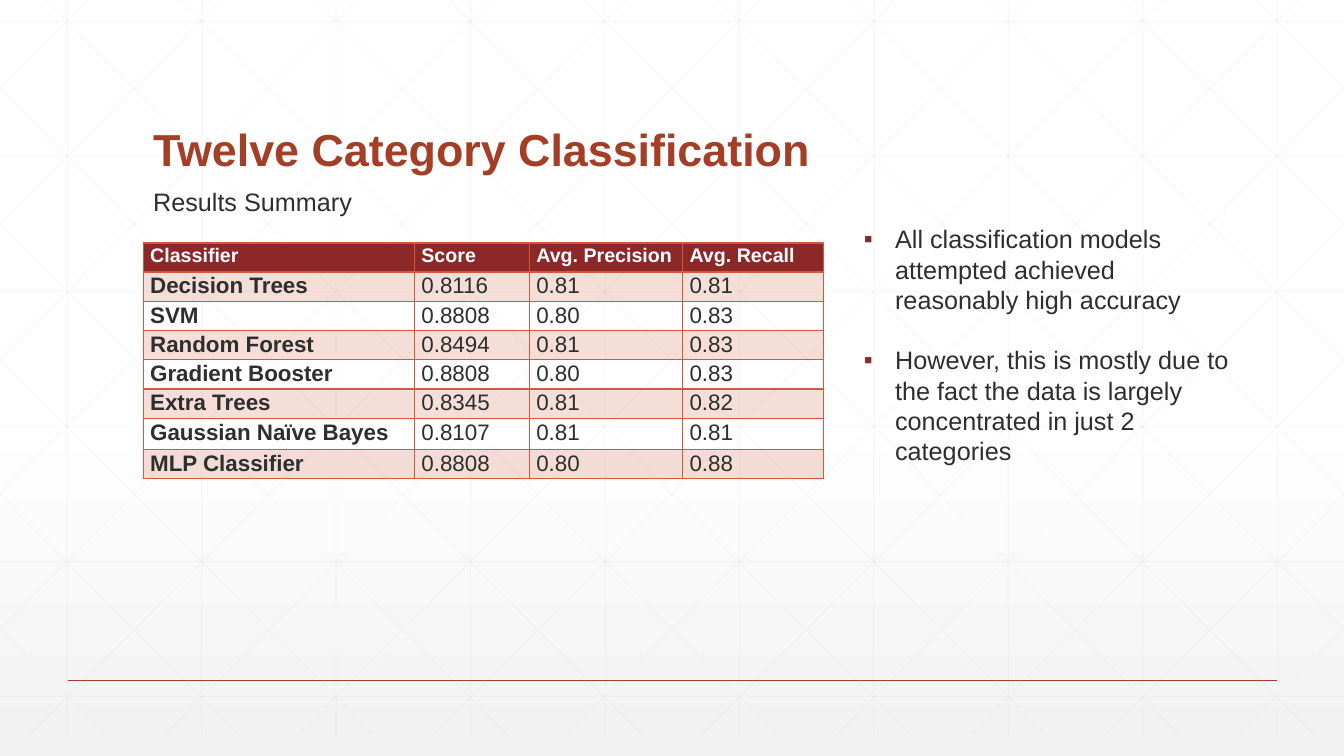
from copy import deepcopy
from lxml.etree import SubElement
from pptx import Presentation
from pptx.dml.color import RGBColor
from pptx.enum.shapes import MSO_CONNECTOR
from pptx.enum.text import MSO_ANCHOR, PP_ALIGN
from pptx.oxml.ns import qn
from pptx.util import Inches, Pt

# Content
TITLE = "Twelve Category Classification"
SUBTITLE = "Results Summary"
RESULTS = [
    ("Classifier", "Score", "Avg. Precision", "Avg. Recall"),
    ("Decision Trees", "0.8116", "0.81", "0.81"),
    ("SVM", "0.8808", "0.80", "0.83"),
    ("Random Forest", "0.8494", "0.81", "0.83"),
    ("Gradient Booster", "0.8808", "0.80", "0.83"),
    ("Extra Trees", "0.8345", "0.81", "0.82"),
    ("Gaussian Naïve Bayes", "0.8107", "0.81", "0.81"),
    ("MLP Classifier", "0.8808", "0.80", "0.88"),
]
FINDINGS = [
    "All classification models attempted achieved reasonably high accuracy",
    "However, this is mostly due to the fact the data is largely concentrated in just 2 categories",
]

# Style
FONT = "Arial"
WHITE = RGBColor(0xFF, 0xFF, 0xFF)
PALE = RGBColor(0xF2, 0xF2, 0xF2)
GRID = RGBColor(0xD9, 0xD9, 0xD9)
RUST = RGBColor(0xA4, 0x3F, 0x27)
ORANGE = RGBColor(0xD1, 0x5A, 0x3E)
MAROON = RGBColor(0x8C, 0x28, 0x28)
INK = RGBColor(0x2D, 0x2E, 0x2D)

# Layout, in inches
WIDTH, HEIGHT = 13.33, 7.5
GRID_TOP, GRID_BOTTOM = -0.21, 7.29
COLUMN_STEP, ROW_STEP = 4 / 3, 1.34
DIAGONAL_RUN = 7.45
COLUMN_WIDTHS = [2.69, 1.14, 1.52, 1.4]
ROW_HEIGHTS = [0.29] * 6 + [0.31, 0.29]

deck = Presentation()
deck.slide_width, deck.slide_height = Inches(WIDTH), Inches(HEIGHT)
page = deck.slides.add_slide(deck.slide_layouts[6])


def set_alpha(element, percent):
    for color in element.iter(qn("a:srgbClr")):
        SubElement(color, qn("a:alpha"), val=str(percent * 1000))


def add_line(x1, y1, x2, y2, color, width, alpha=None):
    line = page.shapes.add_connector(
        MSO_CONNECTOR.STRAIGHT, Inches(x1), Inches(y1), Inches(x2), Inches(y2))
    line.line.color.rgb, line.line.width = color, Pt(width)
    properties = line.element.spPr
    if alpha:
        set_alpha(properties, alpha)
    SubElement(properties, qn("a:effectLst"))


def style(para, size, color, bold=False):
    for span in para.runs:
        span.font.name, span.font.size = FONT, Pt(size)
        span.font.bold, span.font.color.rgb = bold, color


def add_text(left, top, width, height, lines, size, color, bold=False, wrap=True):
    box = page.shapes.add_textbox(Inches(left), Inches(top), Inches(width), Inches(height))
    frame = box.text_frame
    frame.text, frame.word_wrap = "\n".join(lines), wrap
    for para in frame.paragraphs:
        style(para, size, color, bold)
    return frame


def add_border(cell, side, width):
    edge = SubElement(cell._tc.get_or_add_tcPr(), qn("a:" + side), w=str(Pt(width)))
    fill = SubElement(edge, qn("a:solidFill"))
    SubElement(fill, qn("a:srgbClr"), val=str(ORANGE))


# Background: white, fading to pale grey at the foot
backdrop = page.background.fill
backdrop.gradient()
stop_list = page.element.find(".//" + qn("a:gsLst"))
stop_list.insert(1, deepcopy(stop_list[0]))
for stop, (position, color) in zip(backdrop.gradient_stops, [(0, WHITE), (0.53, WHITE), (1, PALE)]):
    stop.position, stop.color.rgb = position, color
backdrop.gradient_angle = 270

# Background grid: uprights, levels, then mirrored diagonals cut at the slide edges
for i in range(10):
    x = (i + 0.5) * COLUMN_STEP
    add_line(x, GRID_TOP, x, GRID_BOTTOM, GRID, 0.5, 25)
for i in range(6):
    y = 0.21 + i * ROW_STEP
    add_line(0, y, WIDTH, y, GRID, 0.5, 25)
slope = (GRID_BOTTOM - GRID_TOP) / DIAGONAL_RUN
for i in range(-5, 10):
    start = 0.25 + i * COLUMN_STEP
    x1, x2 = max(start, 0), min(start + DIAGONAL_RUN, WIDTH)
    y1, y2 = (GRID_TOP + (x - start) * slope for x in (x1, x2))
    add_line(x1, y1, x2, y2, GRID, 0.5, 25)
    add_line(WIDTH - x1, y1, WIDTH - x2, y2, GRID, 0.5, 25)

# Footer rule
add_line(0.67, 6.75, 12.67, 6.75, RUST, 1)

# Title and subtitle
title = add_text(1.42, 0.55, 10.5, 1.25, [TITLE], 32, RUST, bold=True)
title.vertical_anchor = MSO_ANCHOR.BOTTOM
title.paragraphs[0].line_spacing = 0.9
add_text(1.42, 1.8, 2.19, 0.4, [SUBTITLE], 18, INK, wrap=False)

# Results table
table = page.shapes.add_table(
    len(RESULTS), len(COLUMN_WIDTHS), Inches(1.42), Inches(2.41),
    Inches(sum(COLUMN_WIDTHS)), Inches(sum(ROW_HEIGHTS))).table
table.first_row = table.horz_banding = False
for column, width in zip(table.columns, COLUMN_WIDTHS):
    column.width = Inches(width)
for r, (row, height, values) in enumerate(zip(table.rows, ROW_HEIGHTS, RESULTS)):
    row.height = Inches(height)
    header = r == 0
    for c, (cell, value) in enumerate(zip(row.cells, values)):
        cell.text = value
        cell.margin_left = cell.margin_right = Inches(0.07)
        cell.margin_top = cell.margin_bottom = 0
        para = cell.text_frame.paragraphs[0]
        para.alignment, para.line_spacing = PP_ALIGN.JUSTIFY, 1.07
        style(para, 14 if header else 16, WHITE if header else INK, header or c == 0)
        for side in ("lnL", "lnR", "lnT", "lnB"):
            add_border(cell, side, 2 if header and side == "lnB" else 1)
        if header:
            cell.fill.solid()
            cell.fill.fore_color.rgb = MAROON
        elif r % 2:
            cell.fill.solid()
            cell.fill.fore_color.rgb = ORANGE
            set_alpha(cell._tc.tcPr.find(qn("a:solidFill")), 20)
        else:
            cell.fill.background()

# Findings
findings = add_text(8.47, 2.17, 3.87, 2.52, FINDINGS, 18, INK)
for para in findings.paragraphs:
    properties = para._p.get_or_add_pPr()
    properties.set("marL", str(Inches(0.31)))
    properties.set("indent", str(-Inches(0.31)))
    bullet_color = SubElement(properties, qn("a:buClr"))
    SubElement(bullet_color, qn("a:srgbClr"), val=str(MAROON))
    SubElement(properties, qn("a:buFont"), typeface=FONT)
    SubElement(properties, qn("a:buChar"), char="▪")
findings.paragraphs[1].space_before = Pt(21.6)

deck.save("out.pptx")
